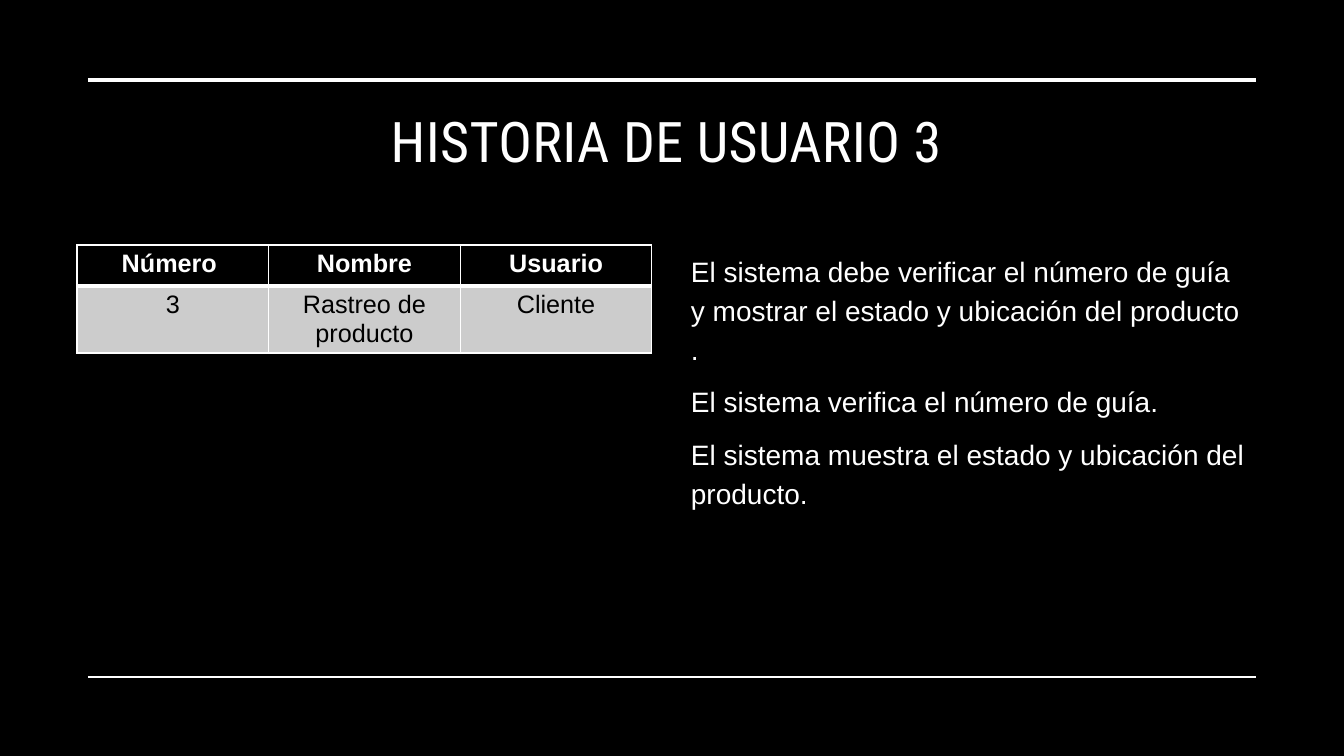
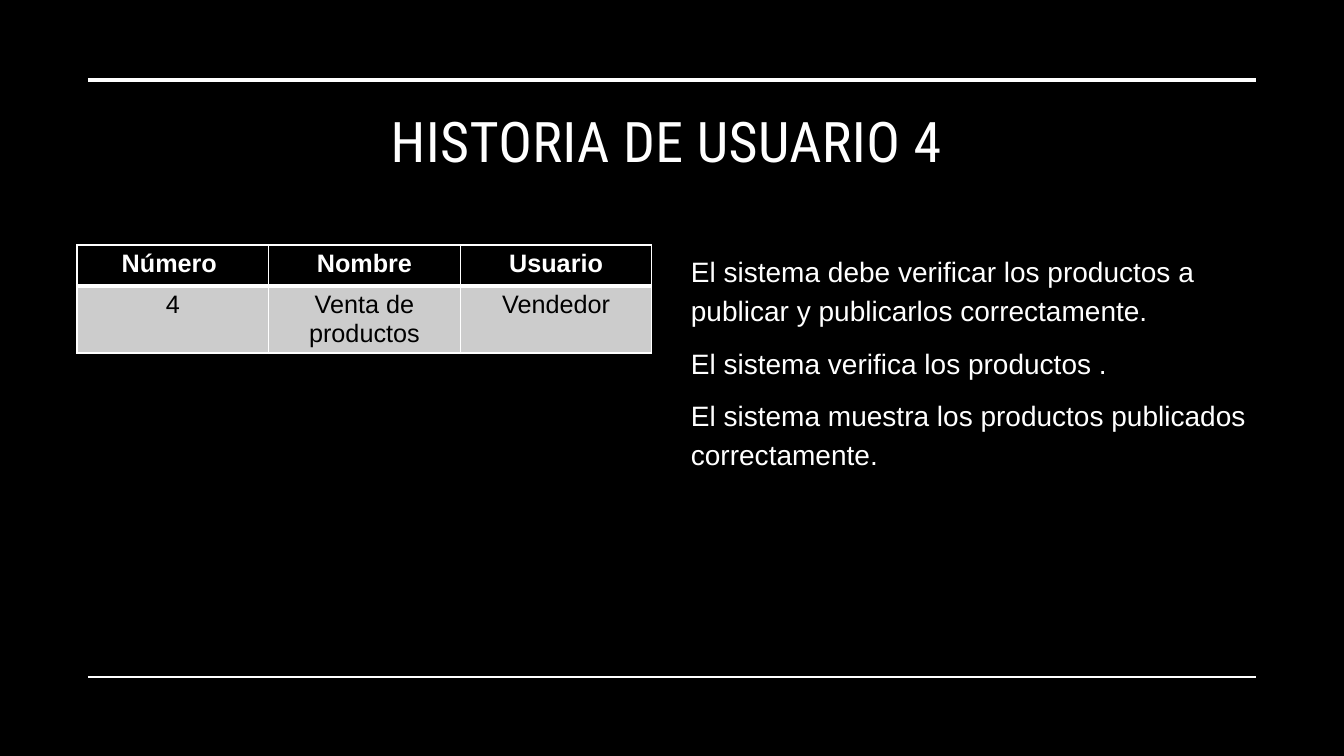
import pptx
import pptx.util
import pptx.dml.color
import pptx.enum.shapes
import pptx.enum.text
import pptx.oxml
import pptx.oxml.ns

PX = 914400 / 100.8
BLACK = pptx.dml.color.RGBColor(0x00, 0x00, 0x00)
WHITE = pptx.dml.color.RGBColor(0xFF, 0xFF, 0xFF)
GRAY = pptx.dml.color.RGBColor(0xCC, 0xCC, 0xCC)
HEAD_FONT = "Roboto Condensed"
TEXT_FONT = "Arial"
CENTER = pptx.enum.text.PP_ALIGN.CENTER
LEFT = pptx.enum.text.PP_ALIGN.LEFT
TOP = pptx.enum.text.MSO_ANCHOR.TOP

RULES = [(80, 3.5), (677, 1)]
TITLE_BOX = (77, 101, 1179, 144)
TABLE_BOX = (77, 245, 575, 108)
NOTES_BOX = (681, 245, 575, 412)
HEADS = ["Número ", "Nombre", "Usuario"]

STORIES = [
    (
        "HISTORIA DE USUARIO 3",
        ["3", "Rastreo de producto", "Cliente"],
        [
            "El sistema debe verificar el número de guía y mostrar el estado y ubicación del producto .",
            "El sistema verifica el número de guía.",
            "El sistema muestra el estado y ubicación del producto.",
        ],
    ),
    (
        "HISTORIA DE USUARIO 4",
        ["4", "Venta de productos", "Vendedor"],
        [
            "El sistema debe verificar los productos a publicar y publicarlos correctamente.",
            "El sistema verifica los productos .",
            "El sistema muestra los productos publicados correctamente.",
        ],
    ),
]


def px(num):
    """Turn px into EMU."""
    return pptx.util.Emu(round(num * PX))


def style(part, font, size, color, align, bold=False):
    """Format all runs and the alignment of one paragraph."""
    part.alignment = align
    for run in part.runs:
        run.font.name = font
        run.font.size = pptx.util.Pt(size)
        run.font.bold = bold
        run.font.color.rgb = color


def add_rules(slide):
    """Draw the lines above and below the content."""
    for y, width in RULES:
        rule = slide.shapes.add_connector(
            pptx.enum.shapes.MSO_CONNECTOR.STRAIGHT, px(88), px(y), px(1256), px(y))
        rule.line.color.rgb = WHITE
        rule.line.width = pptx.util.Pt(width)
        rule.element.spPr.append(pptx.oxml.parse_xml(
            f'<a:effectLst {pptx.oxml.ns.nsdecls("a")}/>'))


def add_title(slide, box, text):
    """Place and format the title."""
    title = slide.shapes.title
    title.left, title.top, title.width, title.height = map(px, box)
    frame = title.text_frame
    frame.text = text
    frame.word_wrap = True
    frame.auto_size = pptx.enum.text.MSO_AUTO_SIZE.NONE
    frame.vertical_anchor = TOP
    style(frame.paragraphs[0], HEAD_FONT, 40, WHITE, CENTER)
    for props in title.element.iter(pptx.oxml.ns.qn("a:rPr")):
        props.set("spc", "30")


def add_edges(props, widths):
    """Give a cell white borders, in the order left, right, top, bottom."""
    for spot, (side, width) in enumerate(zip("LRTB", widths)):
        props.insert(spot, pptx.oxml.parse_xml(
            f'<a:ln{side} {pptx.oxml.ns.nsdecls("a")} w="{pptx.util.Pt(width)}">'
            f'<a:solidFill><a:srgbClr val="{WHITE}"/></a:solidFill></a:ln{side}>'))


def add_table(slide, box, values):
    """Place the story table: a black head row over a gray row."""
    shape = slide.shapes.add_table(2, len(HEADS), *map(px, box))
    table = shape.table
    for col in table.columns:
        col.width = px(box[2] / len(HEADS))
    table.rows[0].height = px(41)
    table.rows[1].height = px(box[3] - 41)
    looks = [(HEADS, BLACK, WHITE, True, (1, 1, 1, 3)),
             (values, GRAY, BLACK, False, (1, 1, 3, 1))]
    edges = []
    for row, (texts, fill, color, bold, widths) in enumerate(looks):
        for col, text in enumerate(texts):
            cell = table.cell(row, col)
            cell.text_frame.text = text
            cell.fill.solid()
            cell.fill.fore_color.rgb = fill
            style(cell.text_frame.paragraphs[0], TEXT_FONT, 18, color, CENTER, bold)
            edges.append(widths)
    cells = list(shape.element.iter(pptx.oxml.ns.qn("a:tcPr")))
    for props, widths in zip(cells, edges):
        add_edges(props, widths)


def add_notes(slide, box, lines):
    """Place the column of text beside the table."""
    frame = slide.shapes.add_textbox(*map(px, box)).text_frame
    frame.word_wrap = True
    frame.text = "\n".join(lines)
    for part in frame.paragraphs:
        part.line_spacing = 1.15
        part.space_before = pptx.util.Pt(10)
        style(part, TEXT_FONT, 20, WHITE, LEFT)


def add_story(deck, title, values, lines):
    """Build one user story slide."""
    slide = deck.slides.add_slide(deck.slide_layouts.get_by_name("Title Only"))
    add_rules(slide)
    add_title(slide, TITLE_BOX, title)
    add_table(slide, TABLE_BOX, values)
    add_notes(slide, NOTES_BOX, lines)


def main():
    """Build and save the deck."""
    deck = pptx.Presentation()
    deck.slide_width, deck.slide_height = px(1344), px(756)
    back = deck.slide_master.background.fill
    back.solid()
    back.fore_color.rgb = BLACK
    for story in STORIES:
        add_story(deck, *story)
    deck.save("out.pptx")


if __name__ == "__main__":
    main()
